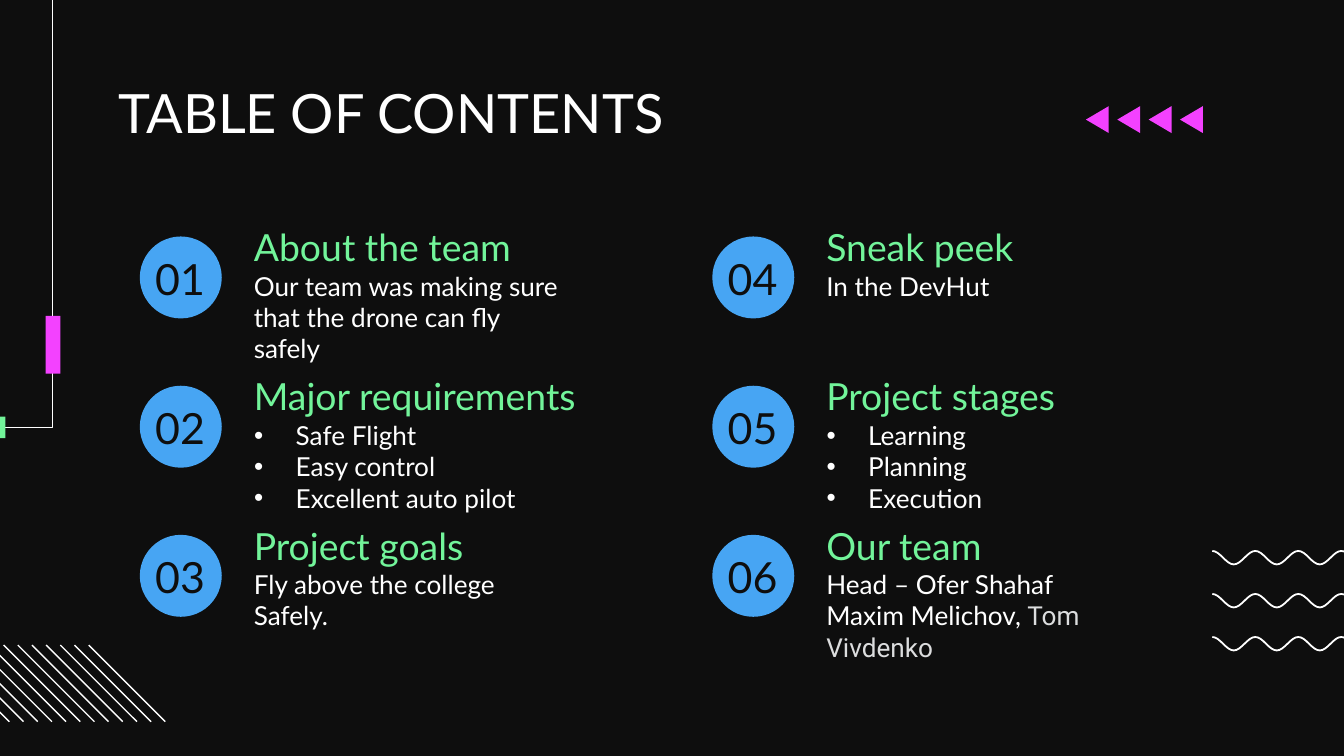
import math
from dataclasses import dataclass

import pptx
import pptx.dml.color
import pptx.enum.shapes
import pptx.enum.text
import pptx.oxml
import pptx.oxml.ns
import pptx.util
from lxml import etree

Inches = pptx.util.Inches
Pt = pptx.util.Pt
SHAPE = pptx.enum.shapes.MSO_SHAPE
ALIGN = pptx.enum.text.PP_ALIGN


@dataclass(frozen=True)
class Theme:
    font: str = "Lato"
    alt: str = "Roboto"
    dark: str = "0E0E0E"
    white: str = "FFFFFF"
    pale: str = "DCDDDE"
    green: str = "72F49A"
    pink: str = "F341FF"
    blue: str = "47A5F3"
    title: int = 29
    number: int = 23
    head: int = 20
    body: int = 14
    thin: float = 0.75
    wave: float = 0.95


THEME = Theme()

TOPICS = [
    ("About the team", ["Our team was making sure that the drone can fly safely"], False),
    ("Major requirements", ["Safe Flight", "Easy control", "Excellent auto pilot"], True),
    ("Project goals", ["Fly above the college Safely."], False),
    ("Sneak peek", ["In the DevHut"], False),
    ("Project stages", ["Learning", "Planning", "Execution"], True),
    ("Our team", ["Head – Ofer Shahaf\nMaxim Melichov,| Tom Vivdenko"], False),
]


def color(code):
    return pptx.dml.color.RGBColor.from_string(code)


def place(shape, x, y, w, h):
    shape.left, shape.top = Inches(x), Inches(y)
    shape.width, shape.height = Inches(w), Inches(h)


def paint(shape, code):
    shape.shadow.inherit = False
    shape.fill.solid()
    shape.fill.fore_color.rgb = color(code)
    shape.line.fill.background()


def trace(slide, points, close):
    (x, y), *rest = [(Inches(a), Inches(b)) for a, b in points]
    pen = slide.shapes.build_freeform(x, y)
    pen.add_line_segments(rest, close=close)
    shape = pen.convert_to_shape()
    shape.shadow.inherit = False
    return shape


def stroke(slide, points, width):
    shape = trace(slide, points, False)
    shape.fill.background()
    shape.line.color.rgb = color(THEME.white)
    shape.line.width = Pt(width)


def frame(shape, top=0):
    text = shape.text_frame
    text.word_wrap = True
    text.auto_size = pptx.enum.text.MSO_AUTO_SIZE.NONE
    text.vertical_anchor = pptx.enum.text.MSO_ANCHOR.TOP
    text.margin_left = text.margin_right = text.margin_bottom = Inches(0.1)
    text.margin_top = Inches(top)
    return text


def box(slide, x, y, w, h, top=0):
    return frame(slide.shapes.add_textbox(Inches(x), Inches(y), Inches(w), Inches(h)), top)


def write(para, words, size, code, font=THEME.font):
    for i, line in enumerate(words.split("\n")):
        if i:
            para.add_line_break()
        run = para.add_run()
        run.text = line
        run.font.size = Pt(size)
        run.font.name = font
        run.font.color.rgb = color(code)


def bullet(para):
    props = para._p.get_or_add_pPr()
    props.set("marL", str(Inches(0.31)))
    props.set("indent", str(-Inches(0.31)))
    tint = etree.SubElement(props, pptx.oxml.ns.qn("a:buClr"))
    etree.SubElement(tint, pptx.oxml.ns.qn("a:srgbClr"), val=THEME.white)
    etree.SubElement(props, pptx.oxml.ns.qn("a:buFont"), typeface="Arial")
    etree.SubElement(props, pptx.oxml.ns.qn("a:buChar"), char="•")


def add_waves(slide, x, y):
    half, rise, steps = 0.16, 0.1, 8
    for row in range(3):
        top = y + 0.32 * row
        points = [
            (x + half * i / steps, top + rise * (1 - math.cos(math.pi * i / steps)) / 2)
            for i in range(7 * steps + 1)
        ]
        stroke(slide, points, THEME.wave)


def add_hatch(slide, x, y, side):
    for i in range(12):
        left = x + 1.16 / 11 * i
        line = slide.shapes.add_connector(
            pptx.enum.shapes.MSO_CONNECTOR.STRAIGHT,
            Inches(left), Inches(y), Inches(left + side), Inches(y + side),
        )
        line.line.color.rgb = color(THEME.white)
        line.line.width = Pt(THEME.thin)
        props = line._element.spPr
        etree.SubElement(props, pptx.oxml.ns.qn("a:effectLst"))


def add_rail(slide, x, y):
    stroke(slide, [(x - 4.32, y), (x, y), (x, y - 3.4)], THEME.thin)
    for left, top, w, h, code in [
        (x - 0.51, y - 0.08, 0.16, 0.16, THEME.green),
        (x - 0.05, y - 0.83, 0.11, 0.43, THEME.pink),
    ]:
        bar = slide.shapes.add_shape(
            SHAPE.RECTANGLE, Inches(left), Inches(top), Inches(w), Inches(h)
        )
        paint(bar, code)


def add_arrows(slide, x, y, w, h):
    for i in range(4):
        left = x + 0.7 / 3 * i
        tip = trace(slide, [(left + w, y), (left, y + h / 2), (left + w, y + h)], True)
        paint(tip, THEME.pink)


def add_title(slide, x, y, w, h):
    title = slide.shapes.title
    place(title, x, y, w, h)
    para = frame(title).paragraphs[0]
    para.alignment = ALIGN.LEFT
    write(para, "TABLE OF CONTENTS", THEME.title, THEME.white)


def add_topic(slide, x, y, number, topic, slots):
    head, lines, listed = topic
    disc = slide.shapes.add_shape(
        SHAPE.OVAL, Inches(x + 0.15), Inches(y + 0.14), Inches(0.61), Inches(0.61)
    )
    paint(disc, THEME.blue)
    para = box(slide, x, y + 0.06, 0.9, 0.61, 0.2).paragraphs[0]
    para.alignment = ALIGN.CENTER
    write(para, f"{number:02}", THEME.number, THEME.dark)

    para = box(slide, x + 0.9, y, 3.16, 0.39).paragraphs[0]
    para.line_spacing = 1.15
    para.space_after = Pt(12)
    write(para, head, THEME.head, THEME.green)

    area = (x + 0.9, y + 0.39, 2.57, 0.6)
    if listed:
        slot = next(slots)
        place(slot, *area)
        text = frame(slot)
    else:
        text = box(slide, *area)
    for i, line in enumerate(lines):
        para = text.add_paragraph() if i else text.paragraphs[0]
        if listed:
            para.space_before = Pt(0)
            bullet(para)
        main, _, rest = line.partition("|")
        write(para, main, THEME.body, THEME.white)
        if rest:
            write(para, rest, THEME.body, THEME.pale, THEME.alt)


def add_topics(slide, x, y):
    slots = iter([s for s in slide.placeholders if s.placeholder_format.idx])
    for i, topic in enumerate(TOPICS):
        col, row = divmod(i, 3)
        add_topic(slide, x + 4.26 * col, y + 1.11 * row, i + 1, topic, slots)


def main():
    deck = pptx.Presentation()
    deck.slide_width = Inches(10)
    deck.slide_height = deck.slide_width * 9 // 16
    slide = deck.slides.add_slide(deck.slide_layouts[3])
    slide.background.fill.solid()
    slide.background.fill.fore_color.rgb = color(THEME.dark)
    add_waves(slide, 9.02, 4.1)
    add_hatch(slide, -0.5, 4.8, 0.57)
    add_rail(slide, 0.39, 3.18)
    add_title(slide, 0.78, 0.59, 8.44, 0.46)
    add_topics(slide, 0.89, 1.62)
    add_arrows(slide, 8.08, 0.79, 0.17, 0.2)
    deck.save("out.pptx")


if __name__ == "__main__":
    main()
